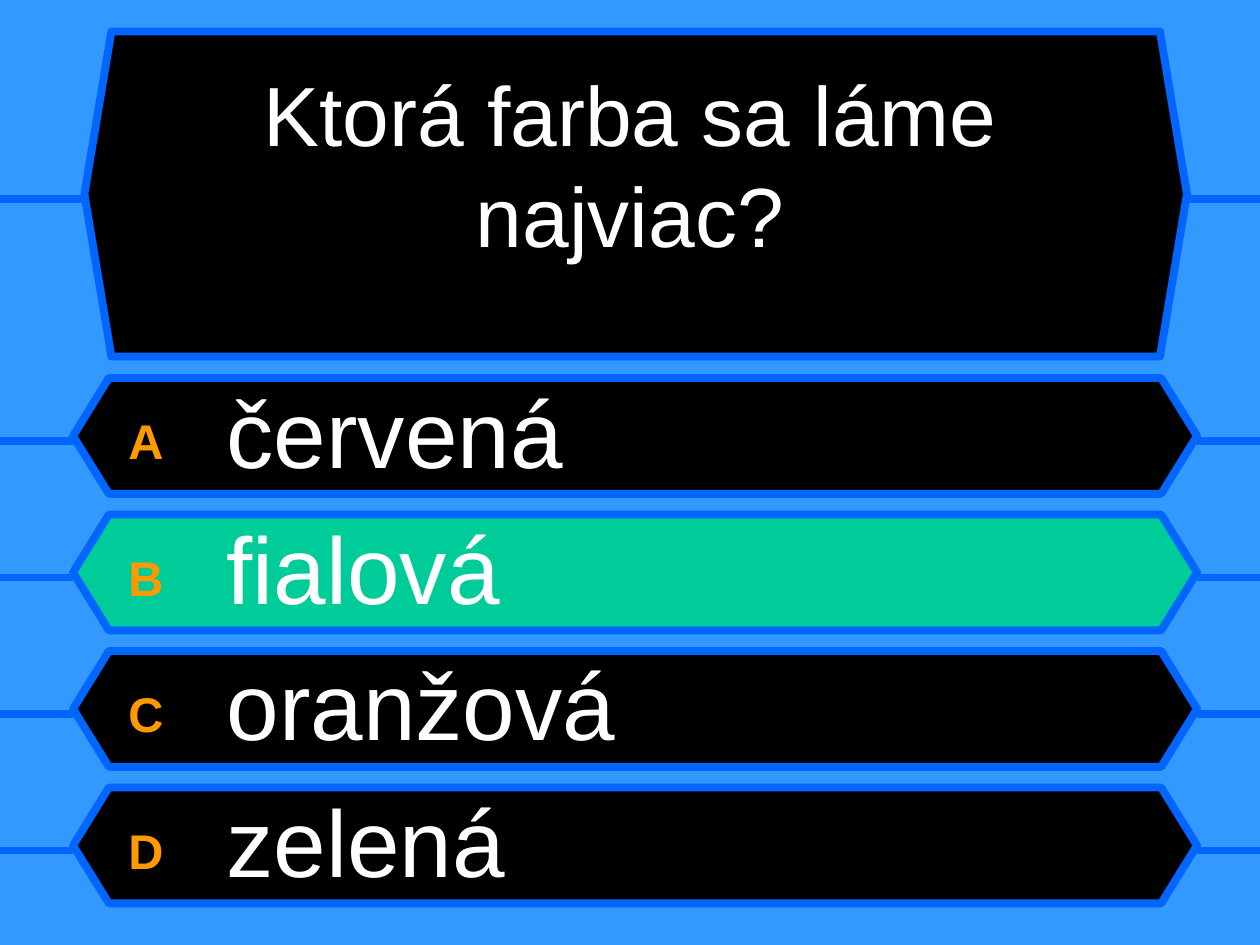
from lxml.etree import SubElement
from pptx import Presentation
from pptx.dml.color import RGBColor
from pptx.enum.shapes import MSO_CONNECTOR as Connector, MSO_SHAPE as Shape
from pptx.enum.text import MSO_ANCHOR as Anchor, PP_ALIGN as Align
from pptx.oxml.ns import qn
from pptx.util import Inches, Pt

SKY = RGBColor(0x33, 0x99, 0xFF)
BLUE = RGBColor(0x00, 0x66, 0xFF)
BLACK = RGBColor(0x00, 0x00, 0x00)
GREEN = RGBColor(0x00, 0xCC, 0x99)
ORANGE = RGBColor(0xFF, 0x99, 0x00)
WHITE = RGBColor(0xFF, 0xFF, 0xFF)

SLIDE_WIDTH = Inches(10)
BORDER = Pt(4.5)
QUESTION = "Ktorá farba sa láme najviac?"
ANSWERS = [("A", "červená"), ("B", "fialová"), ("C", "oranžová"), ("D", "zelená")]
CORRECT = "B"


def add_wire(slide, start, end, y):
    wire = slide.shapes.add_connector(Connector.STRAIGHT, start, y, end, y)
    wire.line.color.rgb = BLUE
    wire.line.width = BORDER
    SubElement(wire._element.spPr, qn("a:effectLst"))


def add_panel(slide, left, top, width, height, point, wire_drop, fill):
    """Hexagon with a wire from each tip to the slide edge; point is its adjustment."""
    panel = slide.shapes.add_shape(Shape.HEXAGON, left, top, width, height)
    panel.adjustments[0] = point
    panel.shadow.inherit = False
    panel.fill.solid()
    panel.fill.fore_color.rgb = fill
    panel.line.color.rgb = BLUE
    panel.line.width = BORDER
    add_wire(slide, left, 0, top + wire_drop)
    add_wire(slide, SLIDE_WIDTH, left + width, top + wire_drop)


def add_text_frame(slide, left, top, width, height):
    frame = slide.shapes.add_textbox(left, top, width, height).text_frame
    frame.word_wrap = True
    return frame


def style(run, size, color, bold=False):
    run.font.name = "Arial"
    run.font.size = Pt(size)
    run.font.bold = bold
    run.font.color.rgb = color


def add_question(slide, left, top, width, height):
    add_panel(slide, left, top, width, height, 0.083, Inches(1.33), BLACK)
    frame = add_text_frame(slide, left + Inches(0.08), top + Inches(0.42),
                           width - Inches(0.25), Inches(1.25))
    frame.vertical_anchor = Anchor.MIDDLE
    frame.text = QUESTION
    question = frame.paragraphs[0]
    question.alignment = Align.CENTER
    question.line_spacing = Pt(57.6)
    style(question.runs[0], 48, WHITE)


def add_answers(slide, left, top, width, height):
    """Four answer rows, with one text box whose line pitch equals the row pitch."""
    row_height = Inches(0.92)
    pitch = (height - row_height) // (len(ANSWERS) - 1)
    for row, (letter, _) in enumerate(ANSWERS):
        add_panel(slide, left, top + row * pitch, width, row_height, 0.309,
                  Inches(0.5), GREEN if letter == CORRECT else BLACK)

    frame = add_text_frame(slide, left + Inches(0.34), top - Inches(0.08),
                           width - Inches(0.59), Inches(4.33))
    line_height = Pt(64.5)
    for row, (letter, answer) in enumerate(ANSWERS):
        line = frame.add_paragraph() if row else frame.paragraphs[0]
        line.line_spacing = line_height
        line.space_before = pitch - line_height if row else 0
        tabs = SubElement(line._p.get_or_add_pPr(), qn("a:tabLst"))
        SubElement(tabs, qn("a:tab"), pos=str(Inches(0.78)), algn="l")
        label, text = line.add_run(), line.add_run()
        label.text = letter
        style(label, 48, ORANGE, bold=True)
        label.font._element.set("baseline", "10000")
        text.text = "\t" + answer
        style(text, 54, WHITE)


def main():
    prs = Presentation()
    prs.slide_width, prs.slide_height = SLIDE_WIDTH, Inches(7.5)
    slide = prs.slides.add_slide(prs.slide_layouts[6])
    slide.background.fill.solid()
    slide.background.fill.fore_color.rgb = SKY
    add_question(slide, Inches(0.67), Inches(0.25), Inches(8.75), Inches(2.58))
    add_answers(slide, Inches(0.58), Inches(3), Inches(8.92), Inches(4.17))
    prs.save("out.pptx")


if __name__ == "__main__":
    main()
